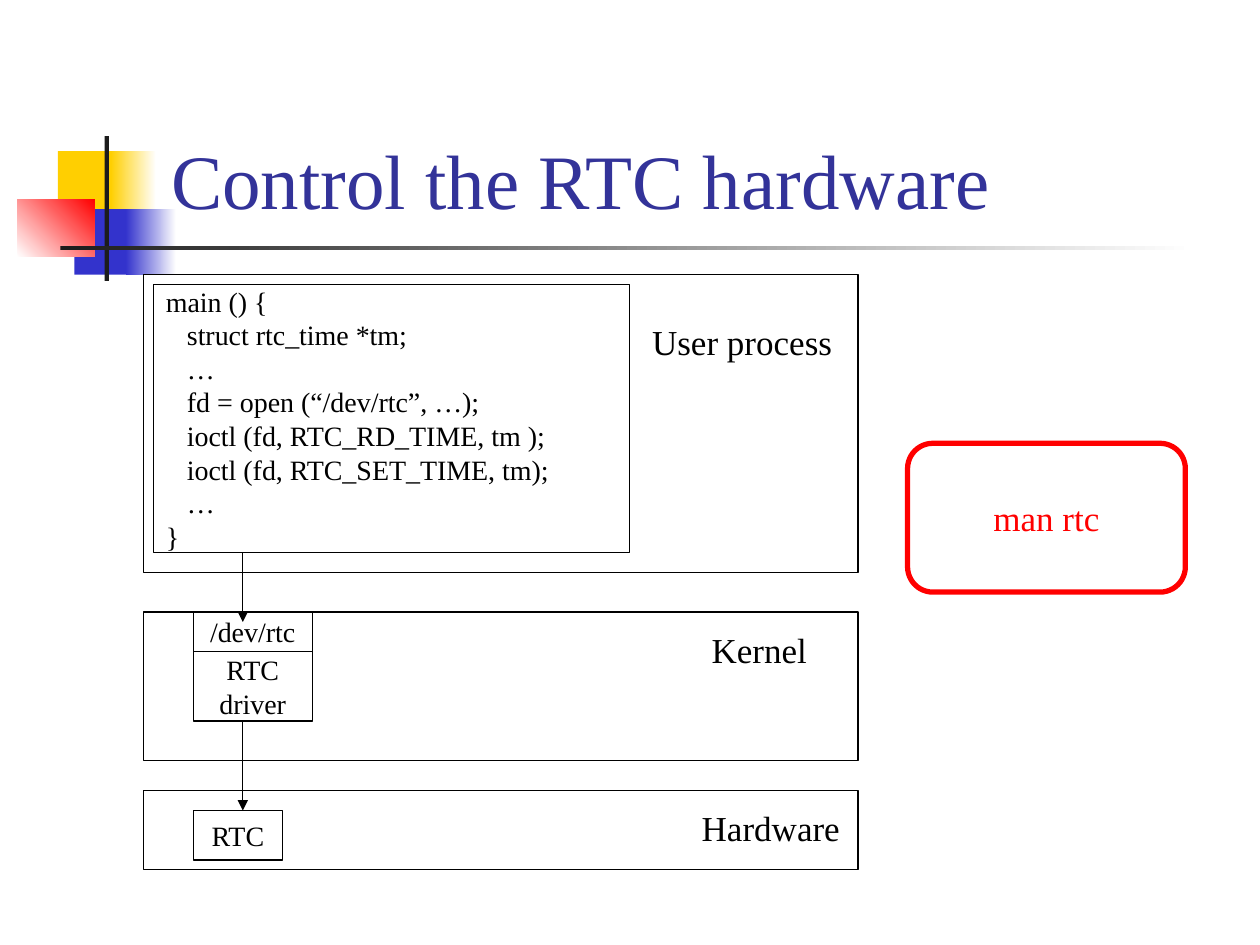
"""Build a slide showing how a user process controls the RTC hardware."""
from lxml import etree
from pptx import Presentation, util as u
from pptx.dml.color import RGBColor
from pptx.enum import shapes, text as t
from pptx.oxml.ns import qn

BLACK = RGBColor(0x00, 0x00, 0x00)
WHITE = RGBColor(0xFF, 0xFF, 0xFF)
RED = RGBColor(0xFF, 0x00, 0x00)
YELLOW = RGBColor(0xFF, 0xCF, 0x01)
BLUE = RGBColor(0x33, 0x33, 0xCC)
INDIGO = RGBColor(0x33, 0x33, 0x99)
CHARCOAL = RGBColor(0x1C, 0x1C, 0x1C)
FONT = "Times New Roman"

deck = Presentation()
deck.slide_width, deck.slide_height = u.Inches(10), u.Inches(7.5)
page = deck.slides.add_slide(deck.slide_layouts[6])

CELL = u.Mm(2)
GRID_LEFT, GRID_TOP = u.Inches(1.14), u.Inches(2.18)


def cells(col, row, cols, rows):
    """Turn grid columns and rows into left, top, width and height."""
    return (GRID_LEFT + int(col * CELL), GRID_TOP + int(row * CELL),
            int(cols * CELL), int(rows * CELL))


def write(wording, place, kind=None, size=16, color=BLACK, align=t.PP_ALIGN.CENTER,
          anchor=t.MSO_ANCHOR.MIDDLE, fill=None, line=BLACK, weight=0.75):
    """Add a text box, or a shape of the given kind, and write into it."""
    if kind is None:
        box = page.shapes.add_textbox(*place)
    else:
        box = page.shapes.add_shape(kind, *place)
        box.shadow.inherit = False
        box.line.color.rgb = line
        box.line.width = u.Pt(weight)
        if fill is None:
            box.fill.background()
        else:
            box.fill.solid()
            box.fill.fore_color.rgb = fill
    frame = box.text_frame
    frame.word_wrap = True
    frame.vertical_anchor = anchor
    for index, words in enumerate(wording.split("\n") if wording else []):
        para = frame.add_paragraph() if index else frame.paragraphs[0]
        para.alignment = align
        span = para.add_run()
        span.text = words
        span.font.name, span.font.size = FONT, u.Pt(size)
        span.font.color.rgb = color
    return box


RECT = shapes.MSO_SHAPE.RECTANGLE
LEFT, TOP = t.PP_ALIGN.LEFT, t.MSO_ANCHOR.TOP

# left, top, width and height in percent of the slide, first and last colour, angle
ORNAMENTS = [
    (4.6, 16, 4.8, 6.93, YELLOW, YELLOW, 0),
    (8.8, 16, 3.6, 6.93, YELLOW, WHITE, 0),
    (5.9, 22.13, 4.6, 6.93, BLUE, BLUE, 0),
    (10, 22.13, 4, 6.93, BLUE, WHITE, 0),
    (1.4, 21.07, 6.1, 6.13, WHITE, RED, 45),
    (8.3, 14.4, 0.35, 15.33, CHARCOAL, CHARCOAL, 0),
    (4.8, 26, 90, 0.5, CHARCOAL, WHITE, 0),
]
for left, top, width, height, first, last, angle in ORNAMENTS:
    ornament = page.shapes.add_shape(
        RECT, int(deck.slide_width * left / 100), int(deck.slide_height * top / 100),
        int(deck.slide_width * width / 100), int(deck.slide_height * height / 100))
    ornament.shadow.inherit = False
    ornament.line.fill.background()
    if first == last:
        ornament.fill.solid()
        ornament.fill.fore_color.rgb = first
    else:
        ornament.fill.gradient()
        ornament.fill.gradient_angle = angle
        for stop, color in zip(ornament.fill.gradient_stops, (first, last)):
            stop.color.rgb = color

title_place = [int(deck.slide_width * 0.126), int(deck.slide_height * 0.03),
               int(deck.slide_width * 0.85), int(deck.slide_height * 0.214)]
write("Control the RTC hardware", title_place, size=44, color=INDIGO, align=LEFT,
      anchor=t.MSO_ANCHOR.BOTTOM)

LAYERS = [
    ("User process", 0, 30, (50, 4, 21.5, 5.6)),
    ("Kernel", 34, 15, (56, 35, 13, 5.6)),
    ("Hardware", 52, 8, (55, 53, 17, 5.6)),
]
for name, row, rows, label in LAYERS:
    write("", cells(0, row, 72, rows), kind=RECT)
    write(name, cells(*label), size=20, align=LEFT, anchor=TOP)

CODE = """main () {
struct rtc_time *tm;
…
fd = open (“/dev/rtc”, …);
ioctl (fd, RTC_RD_TIME, tm );
ioctl (fd, RTC_SET_TIME, tm);
…
}"""
program = write(CODE, cells(1, 1, 48, 27), kind=RECT, align=LEFT)
for para in program.text_frame.paragraphs[1:-1]:
    para._p.get_or_add_pPr().set("marL", str(u.Pt(12)))

PARTS = [("/dev/rtc", 34, 12, 4), ("RTC\ndriver", 38, 12, 7), ("RTC", 54, 9, 5)]
for name, row, cols, rows in PARTS:
    write(name, cells(5, row, cols, rows), kind=RECT)

for start, end in [(28, 35), (45, 54)]:
    x, y, _, drop = cells(10, start, 0, end - start)
    arrow = page.shapes.add_connector(shapes.MSO_CONNECTOR.STRAIGHT, x, y, x, y + drop)
    arrow.line.color.rgb = BLACK
    arrow.line.width = u.Pt(0.75)
    etree.SubElement(arrow.line._get_or_add_ln(), qn("a:tailEnd"), type="triangle")
    etree.SubElement(arrow._element.spPr, qn("a:effectLst"))

manual = write("man rtc", cells(77, 17, 28, 15), kind=shapes.MSO_SHAPE.ROUNDED_RECTANGLE,
               size=20, color=RED, fill=WHITE, line=RED, weight=3)
manual.adjustments[0] = 0.17

deck.save("out.pptx")
